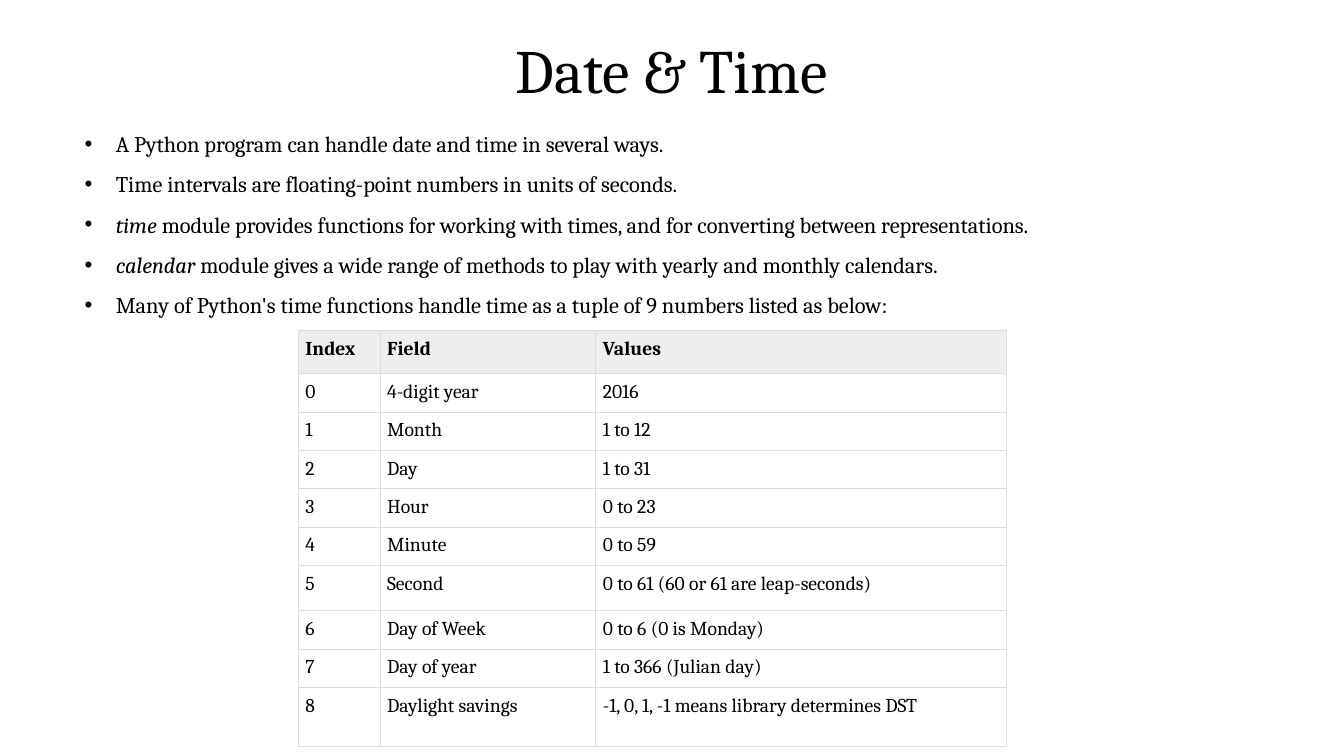
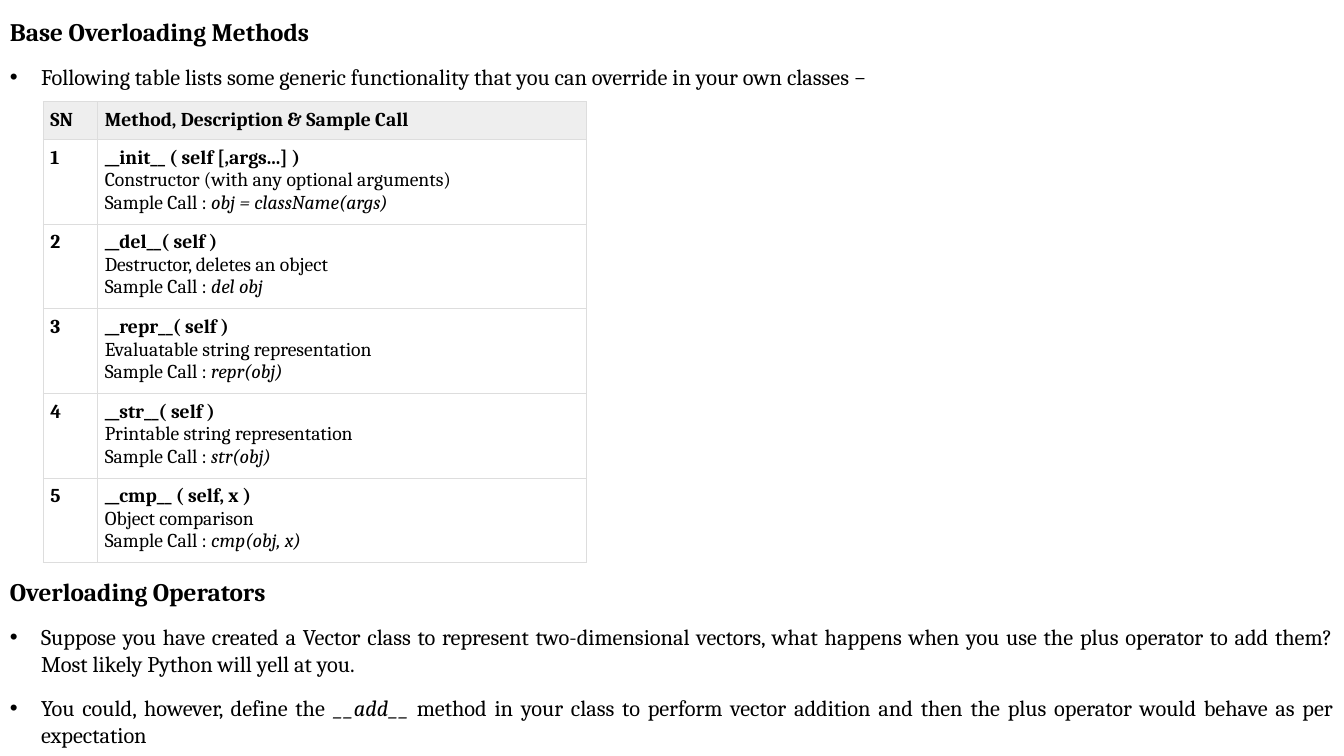
from lxml.etree import SubElement
from pptx import Presentation
from pptx.dml.color import RGBColor
from pptx.enum.text import MSO_ANCHOR, MSO_AUTO_SIZE, PP_ALIGN
from pptx.oxml.ns import qn
from pptx.util import Inches, Pt

COLORS = {"text": "000000", "header": "EEEEEE", "border": "DDDDDD"}
FONT = "Cambria"
TITLE_SIZE, HEADING_SIZE, BODY_SIZE, TABLE_SIZE = 44, 18, 16, 14
SLIDE_WIDTH, SLIDE_HEIGHT = 13.33, 7.5
BULLET_INDENT = 0.31
CELL_MARGIN = 0.07
BORDER_WIDTH = 0.75

DATE_BULLETS = [
    ["A Python program can handle date and time in several ways."],
    ["Time intervals are floating-point numbers in units of seconds."],
    [("time ", "i"), "module provides functions for working with times, "
     "and for converting between representations."],
    [("calendar", "i"), " module gives a wide range of methods to play with "
     "yearly and monthly calendars."],
    ["Many of Python's time functions handle time as a tuple of 9 numbers listed as below:"],
]
TIME_FIELDS = [
    ("4-digit year", "2016"),
    ("Month", "1 to 12"),
    ("Day", "1 to 31"),
    ("Hour", "0 to 23"),
    ("Minute", "0 to 59"),
    ("Second", "0 to 61 (60 or 61 are leap-seconds)"),
    ("Day of Week", "0 to 6 (0 is Monday)"),
    ("Day of year", "1 to 366 (Julian day)"),
    ("Daylight savings", "-1, 0, 1, -1 means library determines DST"),
]
METHODS = [
    ("__init__ ( self [,args...] )", "Constructor (with any optional arguments)",
     "obj = className(args)"),
    ("__del__( self )", "Destructor, deletes an object", "del obj"),
    ("__repr__( self )", "Evaluatable string representation", "repr(obj)"),
    ("__str__( self )", "Printable string representation", "str(obj)"),
    ("__cmp__ ( self, x )", "Object comparison", "cmp(obj, x)"),
]
METHODS_INTRO = [
    ["Following table lists some generic functionality that you can override "
     "in your own classes −"],
]
OPERATOR_BULLETS = [
    ["Suppose you have created a Vector class to represent two-dimensional vectors, "
     "what happens when you use the plus operator to add them? "
     "Most likely Python will yell at you."],
    ["You could, however, define the ", ("__add__", "i"),
     " method in your class to perform vector addition and then the plus operator "
     "would behave as per expectation"],
]


def color(name):
    return RGBColor.from_string(COLORS[name])


def write(paragraph, spans, size):
    """Fill a paragraph with plain strings and (text, "b" or "i") pairs."""
    paragraph.font.name = FONT
    paragraph.font.size = Pt(size)
    paragraph.font.color.rgb = color("text")
    for span in spans:
        text, style = (span, "") if isinstance(span, str) else span
        for number, line in enumerate(text.split("\n")):
            if number:
                paragraph.add_line_break()
            if line:
                run = paragraph.add_run()
                run.text = line
                if style == "b":
                    run.font.bold = True
                elif style == "i":
                    run.font.italic = True


def add_bullet(paragraph):
    properties = paragraph._p.get_or_add_pPr()
    properties.set("marL", str(Inches(BULLET_INDENT)))
    properties.set("indent", str(-Inches(BULLET_INDENT)))
    SubElement(properties, qn("a:buFont"), typeface="Arial")
    SubElement(properties, qn("a:buChar"), char="•")


def add_title(page, text):
    title = page.shapes.title
    title.left, title.top = Inches(0), Inches(0)
    title.width, title.height = Inches(SLIDE_WIDTH), Inches(1.45)
    title.text_frame.vertical_anchor = MSO_ANCHOR.MIDDLE
    paragraph = title.text_frame.paragraphs[0]
    paragraph.alignment = PP_ALIGN.CENTER
    paragraph.line_spacing = 0.9
    write(paragraph, [text], TITLE_SIZE)


def add_text(page, left, top, width, height, bullets, heading=None,
             alignment=None, line_spacing=None, space_after=None):
    """Add a box with an optional bold heading above bulleted paragraphs."""
    box = page.shapes.add_textbox(Inches(left), Inches(top), Inches(width), Inches(height))
    frame = box.text_frame
    frame.word_wrap = True
    frame.auto_size = MSO_AUTO_SIZE.SHAPE_TO_FIT_TEXT
    entries = [(spans, BODY_SIZE, True) for spans in bullets]
    if heading:
        entries.insert(0, ([(heading, "b")], HEADING_SIZE, False))
    for number, (spans, size, bulleted) in enumerate(entries):
        paragraph = frame.add_paragraph() if number else frame.paragraphs[0]
        paragraph.alignment = alignment
        paragraph.line_spacing = line_spacing
        paragraph.space_after = space_after
        if bulleted:
            add_bullet(paragraph)
        write(paragraph, spans, size)


def add_section(page, top, height, heading, bullets):
    add_text(page, 0, top, SLIDE_WIDTH, height, bullets, heading,
             alignment=PP_ALIGN.JUSTIFY, space_after=Pt(12))


def add_borders(cell):
    properties = cell._tc.get_or_add_tcPr()
    for side in ("lnL", "lnR", "lnT", "lnB"):
        line = SubElement(properties, qn(f"a:{side}"), w=str(Pt(BORDER_WIDTH)))
        fill = SubElement(line, qn("a:solidFill"))
        SubElement(fill, qn("a:srgbClr"), val=COLORS["border"])


def add_table(page, left, top, widths, heights, header, rows):
    """Add a bordered table; each body cell is a list of spans."""
    frame = page.shapes.add_table(len(heights), len(widths), Inches(left), Inches(top),
                                  Inches(sum(widths)), Inches(sum(heights)))
    table = frame.table
    table.first_row = table.horz_banding = False
    for column, width in zip(table.columns, widths):
        column.width = Inches(width)
    for row, height in zip(table.rows, heights):
        row.height = Inches(height)
    contents = [[[(label, "b")] for label in header]] + rows
    for row_number, row in enumerate(contents):
        for column_number, spans in enumerate(row):
            cell = table.cell(row_number, column_number)
            cell.margin_left = cell.margin_right = Inches(CELL_MARGIN)
            cell.margin_top = cell.margin_bottom = Inches(CELL_MARGIN)
            add_borders(cell)
            if row_number == 0:
                cell.fill.solid()
                cell.fill.fore_color.rgb = color("header")
            else:
                cell.fill.background()
            write(cell.text_frame.paragraphs[0], spans, TABLE_SIZE)


def add_date_page(deck):
    page = deck.slides.add_slide(deck.slide_layouts.get_by_name("Title Only"))
    add_title(page, "Date & Time")
    add_text(page, 0.74, 1.11, 11.86, 2.17, DATE_BULLETS, line_spacing=1.5)
    rows = [[[str(index)], [field], [values]]
            for index, (field, values) in enumerate(TIME_FIELDS)]
    heights = [0.43] + [0.376] * 5 + [0.45] + [0.376] * 2 + [0.59]
    add_table(page, 2.96, 3.28, [0.81, 2.14, 4.07], [round(h, 2) for h in heights],
              ["Index", "Field", "Values"], rows)


def add_overloading_page(deck):
    page = deck.slides.add_slide(deck.slide_layouts.get_by_name("Blank"))
    add_section(page, 0.11, 0.84, "Base Overloading Methods", METHODS_INTRO)
    rows = [[[(str(number), "b")],
             [(f"{method}\n", "b"), f"{description}\nSample Call : ", (call, "i")]]
            for number, (method, description, call) in enumerate(METHODS, start=1)]
    add_table(page, 0.43, 1.01, [0.54, 4.85], [0.36] + [0.83] * len(METHODS),
              ["SN", "Method, Description & Sample Call"], rows)
    add_section(page, 5.67, 1.82, "Overloading Operators", OPERATOR_BULLETS)


def main():
    deck = Presentation()
    deck.slide_width, deck.slide_height = Inches(SLIDE_WIDTH), Inches(SLIDE_HEIGHT)
    add_date_page(deck)
    add_overloading_page(deck)
    deck.save("out.pptx")


if __name__ == "__main__":
    main()
